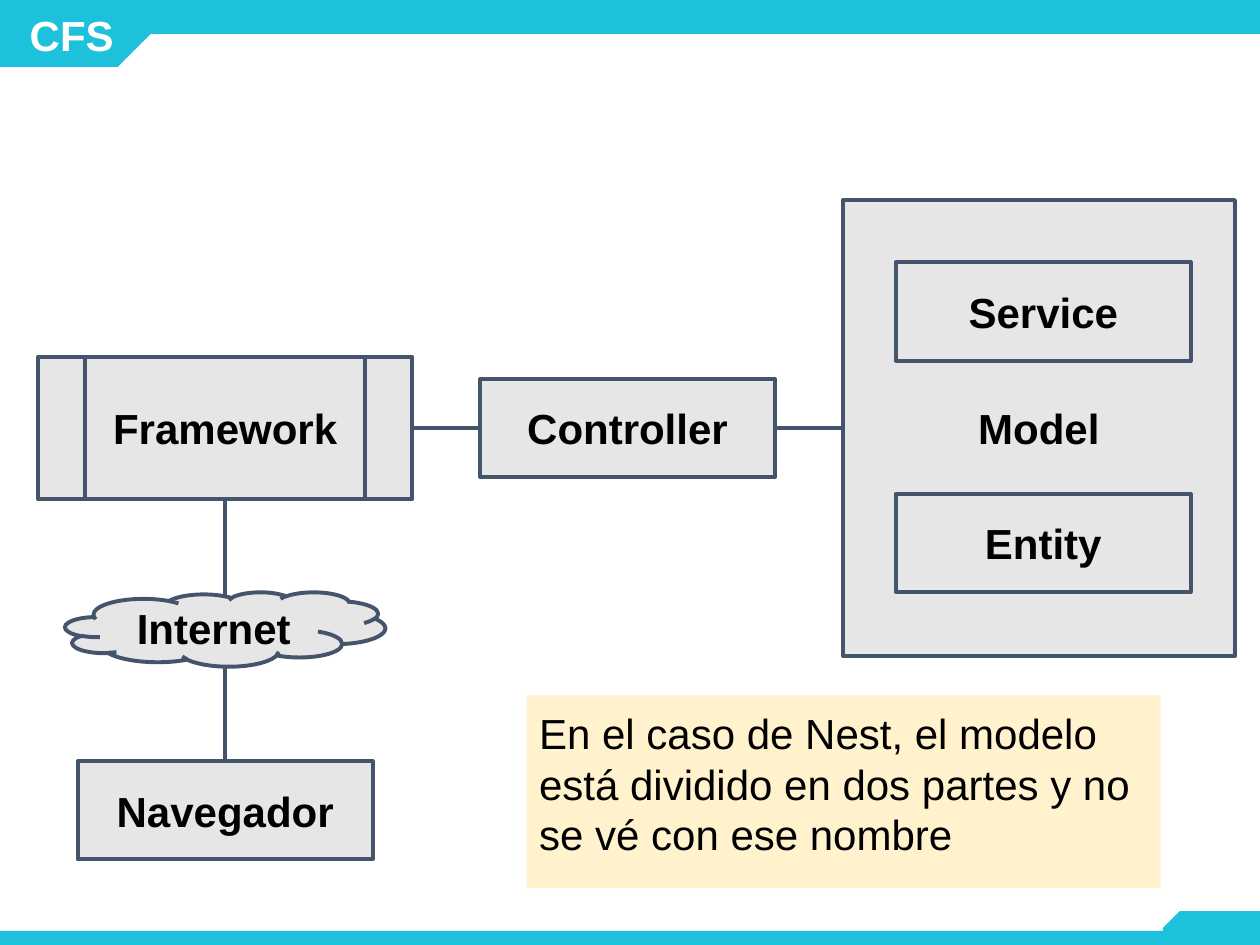
from dataclasses import dataclass

from lxml import etree
from pptx import Presentation
from pptx.dml.color import RGBColor
from pptx.enum import shapes, text
from pptx.oxml.ns import qn
from pptx.util import Pt


@dataclass(frozen=True)
class Theme:
    band: str = "1DC1DC"
    box: str = "E7E6E6"
    line: str = "44546A"
    note: str = "FFF2CC"
    ink: str = "000000"
    light: str = "FFFFFF"
    font: str = "Arial"
    size: float = 24
    line_width: float = 2.25
    inset: float = 7.2


TOP, LEFT, BOTTOM, RIGHT = range(4)
KIND = shapes.MSO_SHAPE
WIDTH, HEIGHT = 720, 540


def write(shape, words, theme, color, bold=True, align=text.PP_ALIGN.CENTER,
          anchor=text.MSO_ANCHOR.MIDDLE):
    frame = shape.text_frame
    frame.word_wrap = True
    frame.vertical_anchor = anchor
    frame.margin_left = frame.margin_right = Pt(theme.inset)
    frame.margin_top = frame.margin_bottom = Pt(theme.inset)
    paragraph = frame.paragraphs[0]
    paragraph.alignment = align
    run = paragraph.add_run()
    run.text = words
    run.font.name = theme.font
    run.font.size = Pt(theme.size)
    run.font.bold = bold
    run.font.color.rgb = RGBColor.from_string(color)


class Diagram:
    def __init__(self, slide, theme):
        self.slide = slide
        self.theme = theme

    def area(self, kind, left, top, width, height, fill):
        """Add a filled shape without outline."""
        shape = self.slide.shapes.add_shape(
            kind, Pt(left), Pt(top), Pt(width), Pt(height))
        shape.shadow.inherit = False
        shape.fill.solid()
        shape.fill.fore_color.rgb = RGBColor.from_string(fill)
        shape.line.fill.background()
        return shape

    def tab(self, left, top, width, height, cut, rotation=0):
        """Add a band end whose inner corner is cut off."""
        shape = self.area(KIND.SNIP_1_RECTANGLE, left, top, width, height,
                          self.theme.band)
        shape.adjustments[0] = cut
        shape.rotation = rotation
        shape._element.spPr.find(qn("a:xfrm")).set("flipH", "1")

    def label(self, words, left, top, width, height):
        shape = self.slide.shapes.add_textbox(
            Pt(left), Pt(top), Pt(width), Pt(height))
        write(shape, words, self.theme, self.theme.light)

    def box(self, words, center_x, center_y, width=168.5, height=56.2,
            kind=KIND.RECTANGLE):
        shape = self.area(kind, center_x - width / 2, center_y - height / 2,
                          width, height, self.theme.box)
        shape.line.color.rgb = RGBColor.from_string(self.theme.line)
        shape.line.width = Pt(self.theme.line_width)
        write(shape, words, self.theme, self.theme.ink)
        return shape

    def note(self, words, left, top, width, height):
        shape = self.area(KIND.RECTANGLE, left, top, width, height,
                          self.theme.note)
        write(shape, words, self.theme, self.theme.ink, bold=False,
              align=text.PP_ALIGN.LEFT, anchor=text.MSO_ANCHOR.TOP)

    def link(self, start, end, begin=None, finish=None):
        """Draw a line; begin and finish are optional (shape, side) joints."""
        line = self.slide.shapes.add_connector(
            shapes.MSO_CONNECTOR.STRAIGHT, *map(Pt, start + end))
        line.line.color.rgb = RGBColor.from_string(self.theme.line)
        line.line.width = Pt(self.theme.line_width)
        etree.SubElement(line._element.spPr, qn("a:effectLst"))
        if begin:
            line.begin_connect(*begin)
        if finish:
            line.end_connect(*finish)


def main():
    presentation = Presentation()
    presentation.slide_width, presentation.slide_height = Pt(WIDTH), Pt(HEIGHT)
    theme = Theme()
    slide = presentation.slides.add_slide(presentation.slide_layouts[6])
    diagram = Diagram(slide, theme)

    # Header and footer bands
    diagram.area(KIND.RECTANGLE, 0, 532, WIDTH, 8, theme.band)
    diagram.tab(664.6, 520.6, 55.4, 19.4, cut=0.5)
    diagram.area(KIND.RECTANGLE, 80.6, 0, WIDTH - 80.6, 19.4, theme.band)
    diagram.tab(0, 0, 86.4, 38.2, cut=0.5, rotation=180)
    diagram.label("CFS", 5, 3, 72, 34)

    # Components share one row and one column
    row, column, model_x = 244.6, 128.7, 596.2
    model = diagram.box("Model", 593.7, row, 224, 260.6)
    controller = diagram.box("Controller", 358.6, row)
    diagram.box("Service", model_x, 178)
    diagram.box("Entity", model_x, 310.3)
    browser = diagram.box("Navegador", column, 463)
    framework = diagram.box("Framework", column, row, 213.8, 81.4,
                            KIND.FLOWCHART_PREDEFINED_PROCESS)
    diagram.box("Internet", column, 359.6, 182.9, 42.5, KIND.CLOUD)

    diagram.link((235.6, row), (274.4, row),
                 (framework, RIGHT), (controller, LEFT))
    diagram.link((442.8, row), (481.7, row),
                 (controller, RIGHT), (model, LEFT))
    diagram.link((column, 285.3), (column, 341.3), begin=(framework, BOTTOM))
    diagram.link((column, 381.6), (column, 434.9), finish=(browser, TOP))

    diagram.note("En el caso de Nest, el modelo está dividido en dos partes "
                 "y no se vé con ese nombre", 301, 397.4, 362.2, 110.2)

    presentation.save("out.pptx")


if __name__ == "__main__":
    main()
